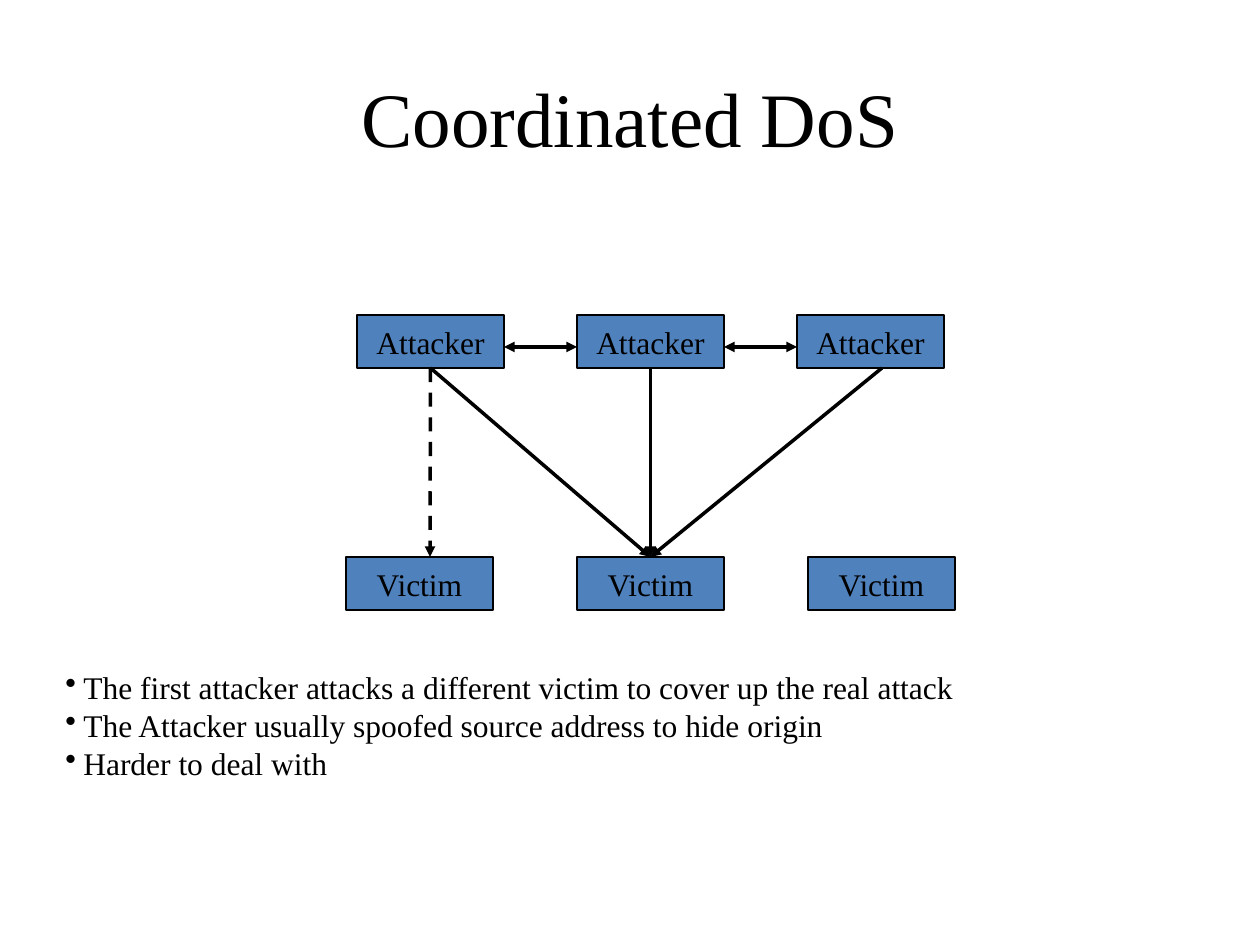
from lxml import etree
from pptx import Presentation
from pptx.dml.color import RGBColor
from pptx.enum.dml import MSO_LINE
from pptx.enum.shapes import MSO_CONNECTOR, MSO_SHAPE
from pptx.enum.text import MSO_ANCHOR, PP_ALIGN
from pptx.oxml.ns import qn
from pptx.util import Emu, Pt

# Content
TITLE = "Coordinated DoS"
ROLES = ("Attacker", "Victim")
NOTES = [
    "The first attacker attacks a different victim to cover up the real attack",
    "The Attacker usually spoofed source address to hide origin",
    "Harder to deal with",
]

THEME = {
    "font": "Times New Roman",
    "ink": RGBColor(0x00, 0x00, 0x00),
    "box": RGBColor(0x4F, 0x81, 0xBD),
    "title": 44,
    "body": 18,
    "outline": 0.75,
    "arrow": 2,
}

# Layout in px, 126 to the inch
PX = 914400 // 126
BOX_W, BOX_H = 147, 53
MIDDLE_LEFT = 577
ROW_TOP = {"Attacker": 315, "Victim": 557}
PITCH = {"Attacker": 220, "Victim": 231}
LINK_Y = 347
THIRD_ATTACK_X = 882
BULLET_INDENT = 18

BOTTOM, TOP = 2, 0


def px(*lengths):
    return [Emu(length * PX) for length in lengths]


def set_font(para, size):
    para.font.name = THEME["font"]
    para.font.size = Pt(size)
    para.font.color.rgb = THEME["ink"]


def add_box(slide, label, column):
    left = MIDDLE_LEFT + (column - 1) * PITCH[label]
    box = slide.shapes.add_shape(
        MSO_SHAPE.RECTANGLE, *px(left, ROW_TOP[label], BOX_W, BOX_H))
    box.shadow.inherit = False
    box.fill.solid()
    box.fill.fore_color.rgb = THEME["box"]
    box.line.color.rgb = THEME["ink"]
    box.line.width = Pt(THEME["outline"])
    frame = box.text_frame
    frame.word_wrap = False
    frame.vertical_anchor = MSO_ANCHOR.MIDDLE
    para = frame.paragraphs[0]
    para.text = label
    para.alignment = PP_ALIGN.CENTER
    set_font(para, THEME["body"])
    return box


def add_arrow(slide, start, end, both=False, dashed=False):
    arrow = slide.shapes.add_connector(
        MSO_CONNECTOR.STRAIGHT, *px(*start, *end))
    arrow.line.color.rgb = THEME["ink"]
    arrow.line.width = Pt(THEME["arrow"])
    if dashed:
        arrow.line.dash_style = MSO_LINE.DASH
    line = arrow.line._get_or_add_ln()
    for tag in ("a:headEnd", "a:tailEnd") if both else ("a:tailEnd",):
        etree.SubElement(line, qn(tag), type="triangle")
    etree.SubElement(arrow._element.spPr, qn("a:effectLst"))
    return arrow


def center_x(label, column):
    return MIDDLE_LEFT + (column - 1) * PITCH[label] + BOX_W // 2


def main():
    deck = Presentation()
    deck.slide_width, deck.slide_height = px(1260, 945)
    slide = deck.slides.add_slide(deck.slide_layouts[5])

    # Title
    title = slide.shapes.title
    title.left, title.top, title.width, title.height = px(63, 38, 1134, 157)
    title.text_frame.vertical_anchor = MSO_ANCHOR.MIDDLE
    para = title.text_frame.paragraphs[0]
    para.text = TITLE
    para.alignment = PP_ALIGN.CENTER
    set_font(para, THEME["title"])

    # Attackers above, victims below
    boxes = {role: [add_box(slide, role, column) for column in range(3)]
             for role in ROLES}

    # Attackers talk to their neighbours
    for column in range(2):
        left = MIDDLE_LEFT + (column - 1) * PITCH["Attacker"] + BOX_W
        right = MIDDLE_LEFT + column * PITCH["Attacker"]
        add_arrow(slide, (left, LINK_Y), (right, LINK_Y), both=True)

    # All attackers hit the middle victim; the third starts off-centre
    attack_y = ROW_TOP["Attacker"] + BOX_H
    target = (center_x("Victim", 1), ROW_TOP["Victim"])
    starts = [center_x("Attacker", 0), center_x("Attacker", 1), THIRD_ATTACK_X]
    for attacker, x in zip(boxes["Attacker"], starts):
        arrow = add_arrow(slide, (x, attack_y), target)
        if x != THIRD_ATTACK_X:
            arrow.begin_connect(attacker, BOTTOM)
        arrow.end_connect(boxes["Victim"][1], TOP)

    # Decoy attack, straight down from the first attacker
    decoy = add_arrow(slide, (starts[0], attack_y),
                      (starts[0], ROW_TOP["Victim"]), dashed=True)
    decoy.begin_connect(boxes["Attacker"][0], BOTTOM)

    # Notes
    frame = slide.shapes.add_textbox(*px(53, 662, 997, 126)).text_frame
    frame.word_wrap = True
    for index, note in enumerate(NOTES):
        para = frame.add_paragraph() if index else frame.paragraphs[0]
        para.text = note
        properties = para._p.get_or_add_pPr()
        properties.set("marL", str(BULLET_INDENT * PX))
        properties.set("indent", str(-BULLET_INDENT * PX))
        etree.SubElement(properties, qn("a:buChar"), char="•")
        set_font(para, THEME["body"])

    deck.save("out.pptx")


if __name__ == "__main__":
    main()
